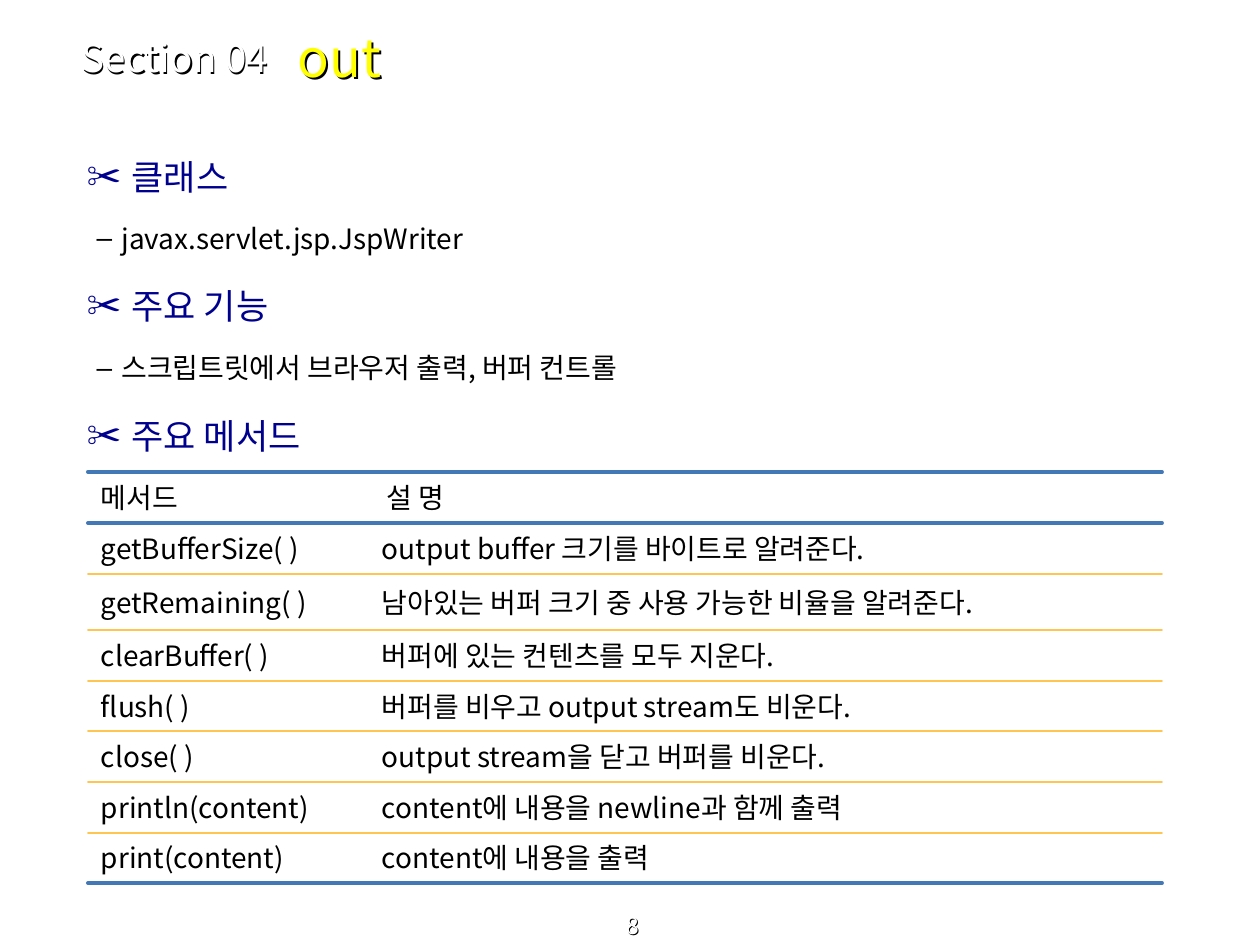
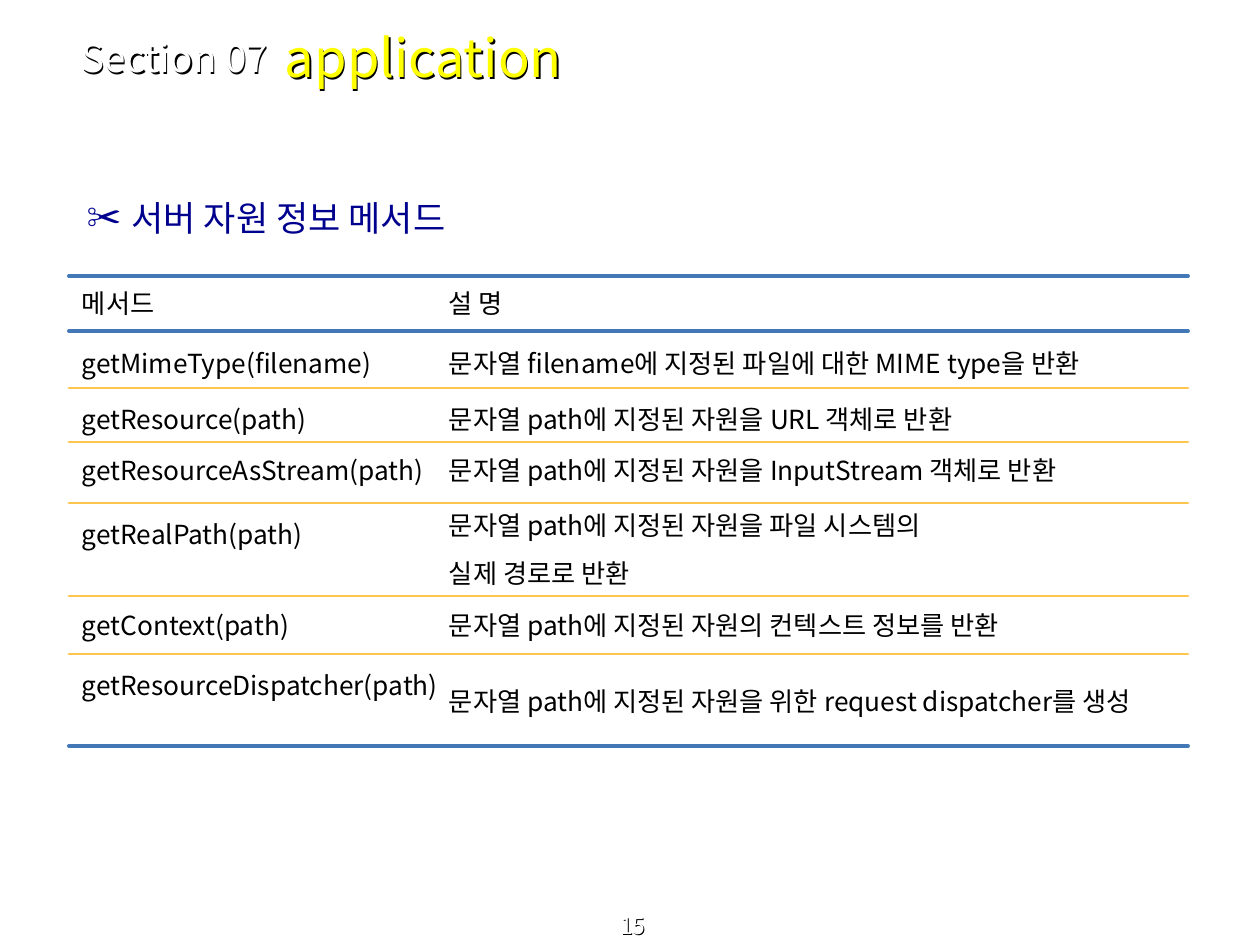
"""Build two slides on the JSP objects out and application, with method tables."""
import pptx
import pptx.dml.color
import pptx.enum.shapes
import pptx.enum.text
import pptx.oxml
import pptx.oxml.ns
import pptx.util

FONT = "Noto Sans CJK KR"
WHITE, YELLOW, NAVY, BLACK = "FFFFFF", "FFFF00", "00008E", "000000"
BLUE, ORANGE = "4378B6", "FFC551"
NS = pptx.oxml.ns.nsdecls("a")
ALIGN = pptx.enum.text.PP_ALIGN
ANCHOR = pptx.enum.text.MSO_ANCHOR
color_of = pptx.dml.color.RGBColor.from_string


def px(n):
    return pptx.util.Emu(round(n * 914400 / 126))


def write(p, text, size, color, font=FONT, **formats):
    for name, value in formats.items():
        setattr(p, name, value)
    r = p.add_run()
    r.text = text
    r.font.size = pptx.util.Pt(size)
    r.font.color.rgb = color_of(color)
    r.font.name = font
    latin = r.font._element.find(pptx.oxml.ns.qn("a:latin"))
    latin.addnext(pptx.oxml.parse_xml(f'<a:ea {NS} typeface="{FONT}"/>'))


LEVELS = [
    {"bullet": "✂", "left": 60, "hang": 45, "size": 20, "color": NAVY, "before": 5},
    {"bullet": "–", "left": 50, "hang": 25, "size": 16, "color": BLACK, "before": 4},
]

SLIDES = [
    {
        "section": "Section 04", "title": "out", "title_indent": 13, "number": "8",
        "body_top": 128, "leading": [36, 29],
        "body": [
            (0, "클래스"),
            (1, "javax.servlet.jsp.JspWriter"),
            (0, "주요 기능"),
            (1, "스크립트릿에서 브라우저 출력, 버퍼 컨트롤"),
            (0, "주요 메서드"),
        ],
        "size": 16, "line": 19.5, "rule": 1, "cols": [88, 375, 1162], "header_indent": 5,
        "edges": [472, 523, 574, 630, 681, 731, 782, 833, 883],
        "drop": 4, "margins": {},
        "rows": [
            ("메서드", "설 명"),
            ("getBufferSize( )", "output buffer 크기를 바이트로 알려준다."),
            ("getRemaining( )", "남아있는 버퍼 크기 중 사용 가능한 비율을 알려준다."),
            ("clearBuffer( )", "버퍼에 있는 컨텐츠를 모두 지운다."),
            ("flush( )", "버퍼를 비우고 output stream도 비운다."),
            ("close( )", "output stream을 닫고 버퍼를 비운다."),
            ("println(content)", "content에 내용을 newline과 함께 출력"),
            ("print(content)", "content에 내용을 출력"),
        ],
    },
    {
        "section": "Section 07", "title": "application", "title_indent": 0, "number": "15",
        "body_top": 147, "leading": [48.5, 38],
        "body": [(0, "서버 자원 정보 메서드")],
        "size": 15, "line": 18.5, "rule": 1.5, "cols": [69, 442, 1188], "header_indent": 0,
        "edges": [276, 331, 388, 442, 503, 596, 654, 746],
        "drop": 3,
        "margins": {(1, 0): (11, 0), (1, 1): (11, 0), (2, 0): (11, 0), (2, 1): (11, 0),
                    (3, 0): (0, 1), (3, 1): (0, 1),
                    (4, 0): (0, 28), (6, 0): (2, 28), (6, 1): (6, 0)},
        "rows": [
            ("메서드", "설 명"),
            ("getMimeType(filename)", "문자열 filename에 지정된 파일에 대한 MIME type을 반환"),
            ("getResource(path)", "문자열 path에 지정된 자원을 URL 객체로 반환"),
            ("getResourceAsStream(path)", "문자열 path에 지정된 자원을 InputStream 객체로 반환"),
            ("getRealPath(path)", "문자열 path에 지정된 자원을 파일 시스템의\n실제 경로로 반환"),
            ("getContext(path)", "문자열 path에 지정된 자원의 컨텍스트 정보를 반환"),
            ("getResourceDispatcher(path)",
             "문자열 path에 지정된 자원을 위한 request dispatcher를 생성"),
        ],
    },
]

prs = pptx.Presentation()
prs.slide_width, prs.slide_height = px(1260), px(945)

for data in SLIDES:
    s = prs.slides.add_slide(prs.slide_layouts[1])
    title, body = s.shapes.title, s.placeholders[1]

    body.left, body.top, body.width, body.height = px(59), px(data["body_top"]), px(1134), px(624)
    tf = body.text_frame
    tf.auto_size = pptx.enum.text.MSO_AUTO_SIZE.NONE
    for i, (level, text) in enumerate(data["body"]):
        p = tf.paragraphs[0] if i == 0 else tf.add_paragraph()
        look = LEVELS[level]
        pPr = p._p.get_or_add_pPr()
        pPr.set("marL", str(px(look["left"])))
        pPr.set("indent", str(-px(look["hang"])))
        for xml in (f'<a:buClr {NS}><a:srgbClr val="{look["color"]}"/></a:buClr>',
                    f'<a:buChar {NS} char="{look["bullet"]}"/>'):
            pPr.append(pptx.oxml.parse_xml(xml))
        write(p, text, look["size"], look["color"], level=level,
              line_spacing=pptx.util.Pt(data["leading"][level]),
              space_before=pptx.util.Pt(look["before"] if i else 0))

    section = s.shapes.add_textbox(px(69), px(34), px(243), px(47))
    number = s.shapes.add_textbox(px(3), px(917), px(1260), px(28))
    title.left, title.top, title.width, title.height = px(272), px(14), px(818), px(86)
    for sp, text, size, color, align, anchor, shift in (
            (title, data["title"], 30, YELLOW, ALIGN.LEFT, ANCHOR.MIDDLE, 1.5),
            (section, data["section"], 22, WHITE, ALIGN.LEFT, ANCHOR.MIDDLE, 1.5),
            (number, data["number"], 13, WHITE, ALIGN.CENTER, ANCHOR.BOTTOM, 1)):
        tf = sp.text_frame
        tf.word_wrap = True
        tf.auto_size = pptx.enum.text.MSO_AUTO_SIZE.NONE
        tf.vertical_anchor = anchor
        write(tf.paragraphs[0], text, size, color, alignment=align)
        sp.fill.background()
        sp._element.spPr.append(pptx.oxml.parse_xml(
            f'<a:effectLst {NS}><a:outerShdw dist="{px(shift * 1.41)}" dir="2700000">'
            f'<a:srgbClr val="{BLACK}"/></a:outerShdw></a:effectLst>'))
    title.text_frame.margin_left = px(13 + data["title_indent"])

    rows, edges, cols = data["rows"], data["edges"], data["cols"]
    table = s.shapes.add_table(len(rows), 2, px(cols[0]), px(edges[0]),
                               px(cols[-1] - cols[0]), px(edges[-1] - edges[0])).table
    table.first_row = table.horz_banding = False
    for j in range(2):
        table.columns[j].width = px(cols[j + 1] - cols[j])
    for i, row in enumerate(rows):
        table.rows[i].height = px(edges[i + 1] - edges[i])
        for j, text in enumerate(row):
            cell = table.cell(i, j)
            tcPr = cell._tc.get_or_add_tcPr()
            for side in "LRTB":
                tcPr.append(pptx.oxml.parse_xml(f'<a:ln{side} {NS} w="0"><a:noFill/></a:ln{side}>'))
            cell.fill.background()
            top, bottom = data["margins"].get((i, j), (data["drop"], 0))
            indent = data["header_indent"] if (i, j) == (0, 1) else 0
            formats = {"margin_left": px((13, 7)[j] + indent), "margin_right": px((0, 30)[j]),
                       "margin_top": px(top), "margin_bottom": px(bottom),
                       "vertical_anchor": ANCHOR.MIDDLE}
            for name, value in formats.items():
                setattr(cell, name, value)
            for k, line in enumerate(text.split("\n")):
                tf = cell.text_frame
                p = tf.paragraphs[0] if k == 0 else tf.add_paragraph()
                write(p, line, data["size"], BLACK, FONT if i else "Arial Narrow",
                      line_spacing=pptx.util.Pt(data["line"]),
                      space_before=pptx.util.Pt(9.4 if k else 0))

    for i, y in enumerate(edges):
        strong = i in (0, 1, len(rows))
        rule = s.shapes.add_connector(pptx.enum.shapes.MSO_CONNECTOR.STRAIGHT,
                                      px(cols[0]), px(y), px(cols[-1]), px(y))
        rule.line.color.rgb = color_of(BLUE if strong else ORANGE)
        rule.line.width = pptx.util.Pt(2.25 if strong else data["rule"])
        rule.line._ln.set("cap", "rnd")
        rule._element.spPr.append(pptx.oxml.parse_xml(f"<a:effectLst {NS}/>"))

prs.save("out.pptx")
